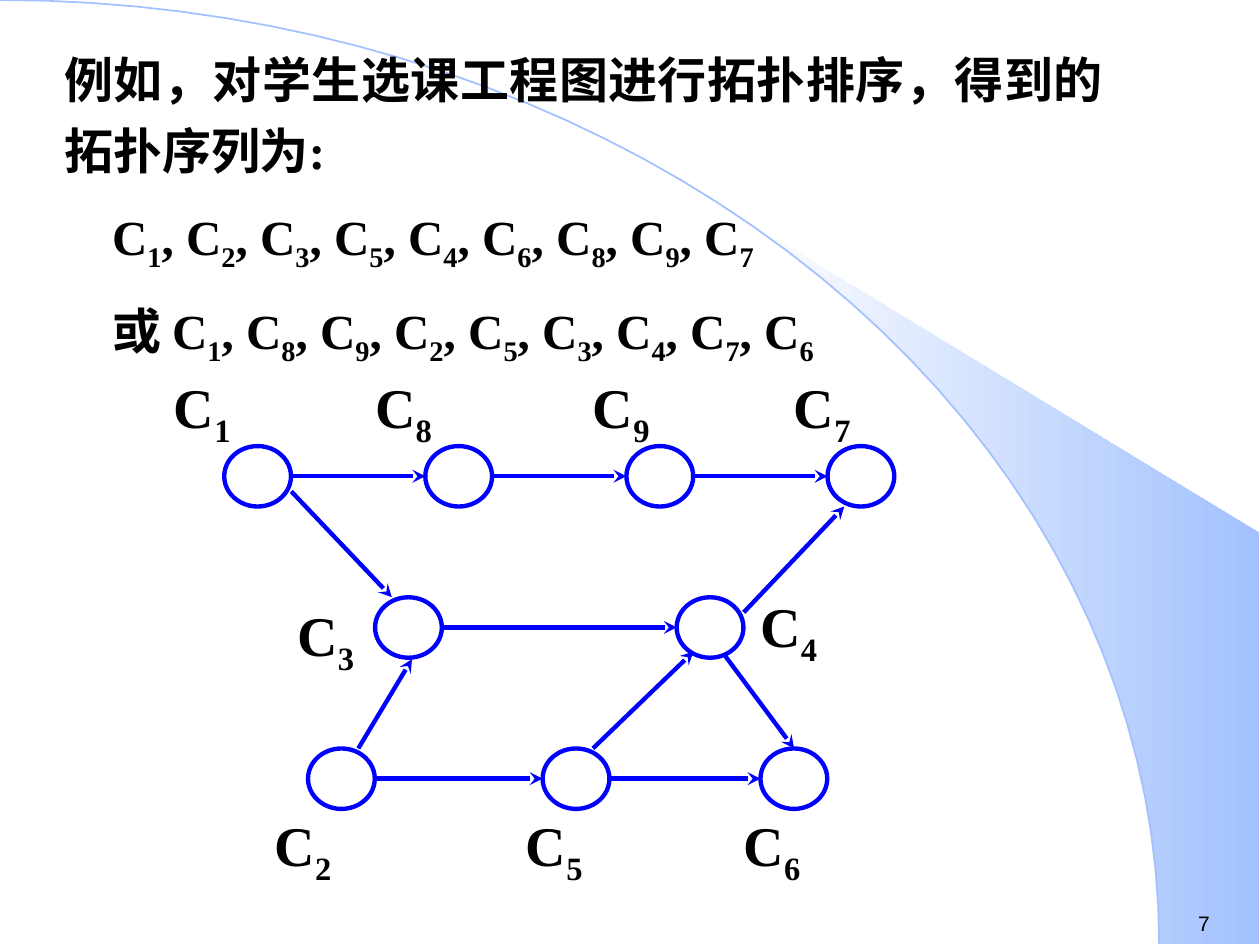
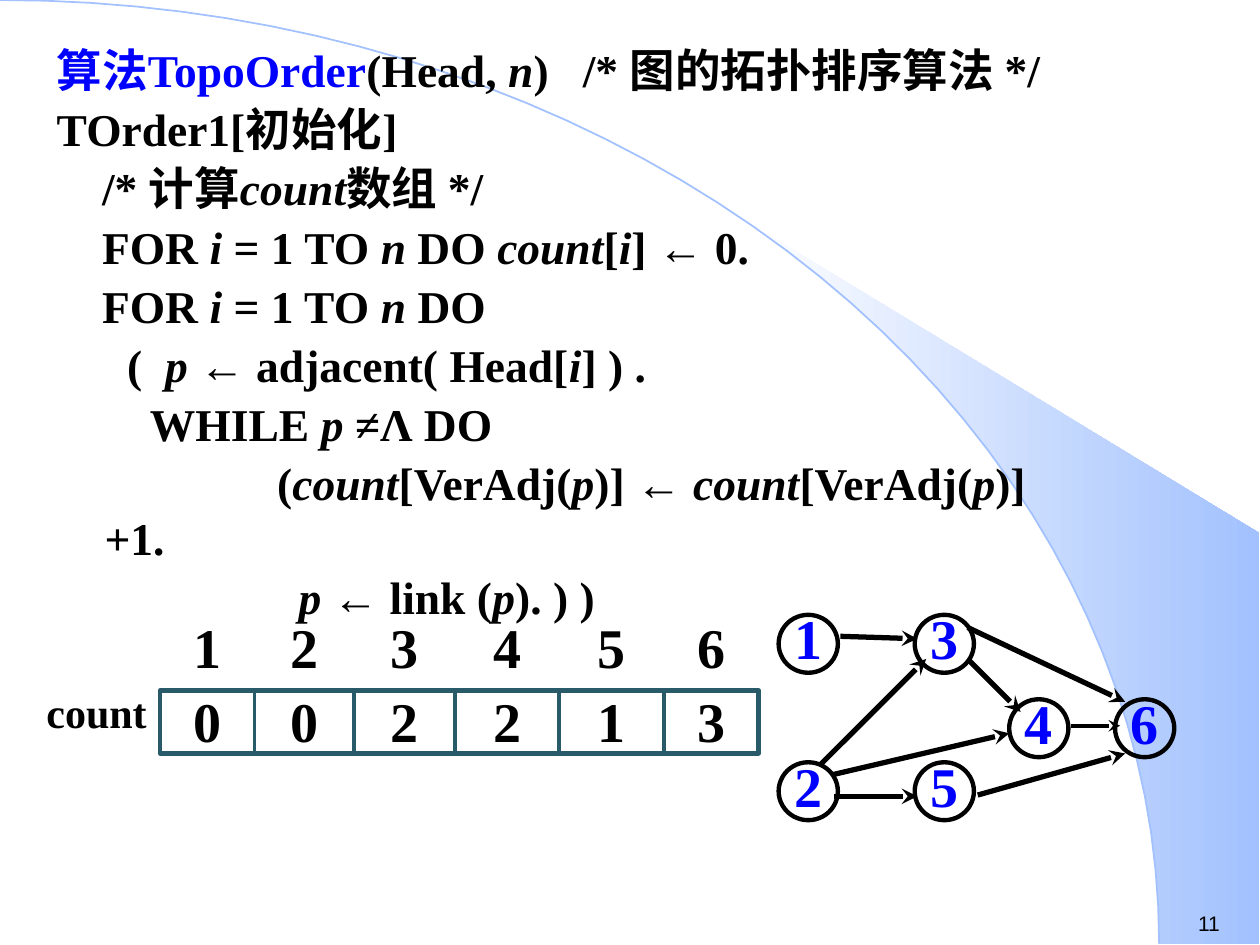
import math
from dataclasses import dataclass

from lxml import etree
from pptx import Presentation
from pptx.dml.color import RGBColor
from pptx.enum.shapes import MSO_CONNECTOR, MSO_SHAPE
from pptx.enum.text import MSO_ANCHOR, MSO_AUTO_SIZE, PP_ALIGN
from pptx.oxml.ns import qn
from pptx.util import Inches, Pt

STRAIGHT = MSO_CONNECTOR.STRAIGHT
OVAL, RECTANGLE = MSO_SHAPE.OVAL, MSO_SHAPE.RECTANGLE
LEFT, CENTER, JUSTIFY = PP_ALIGN.LEFT, PP_ALIGN.CENTER, PP_ALIGN.JUSTIFY

BLACK = RGBColor(0x00, 0x00, 0x00)
WHITE = RGBColor(0xFF, 0xFF, 0xFF)
BLUE = RGBColor(0x00, 0x00, 0xFF)
SKY = RGBColor(0xA2, 0xC1, 0xFE)
TEAL = RGBColor(0x29, 0x5A, 0x69)
SERIF, SANS = "Times New Roman", "Arial"

SLIDE_W, SLIDE_H = 10, 7.5
ARC_W, ARC_H = 9.2, 7.49
FAN_START = 39.8  # degrees along the arc
NO_INSETS = (0, 0, 0, 0)
BOX_INSETS = (0.1, 0.05, 0.1, 0.05)

COURSE_ORDERS = [("", "123546897"), ("或 ", "189253476")]
# course: node column and row, label column and row
COURSES = {
    1: (0, 0, -3, -4.83), 8: (12, 0, 9, -4.83),
    9: (24, 0, 22, -4.83), 7: (36, 0, 34, -4.83),
    3: (9, 10, 4.36, 10.25), 4: (27, 10, 32, 9.6),
    2: (5, 20, 3, 24.1), 5: (19, 20, 18, 24.1), 6: (32, 20, 31, 24.1),
}
COURSE_ROWS = [(1, 8, 9, 7), (3, 4), (2, 5, 6)]
COURSE_DIAGONALS = [
    (4, 3, 10, 10), (8, 20, 11.2, 14.1), (22, 20, 28, 13.6),
    (31, 11, 37, 4), (29.9, 13.9, 34, 20),
]

# text with italics between bars, left margin, first-line indent
ALGORITHM = [
    ("算法TopoOrder||(Head, |n|)   /* 图的拓扑排序算法 */", 0, 0),
    ("TOrder1[初始化]", 0, 0),
    ("/* 计算|count|数组 */", 0.36, 0),
    ("FOR| i| = 1 TO |n| DO |count|[|i|] ← 0.", 0.36, 0),
    ("FOR |i |= 1 TO |n| DO", 0.36, 0),
    ("(  |p |← adjacent( Head[|i|] ) .", 0.56, 0),
    ("WHILE |p |≠Λ DO", 0.74, 0),
    ("(|count|[VerAdj(|p|)] ← |count|[VerAdj(|p|)]+1.", 0.38, 1.37),
    ("|p |← link (|p|). ) )", 1.92, 0),
]
COUNTS = [0, 0, 2, 2, 1, 3]
CELL_EDGES = [1.27, 2.02, 2.81, 3.61, 4.44, 5.27, 6.02]
VERTICES = {1: (0, 0), 2: (0, 11.7), 3: (10.8, 0),
            4: (18.3, 6.7), 5: (10.8, 11.7), 6: (26.7, 6.7)}
GRAPH_ARROWS = [
    (4.9, 1.7, 11, 1.9, 3), (4.4, 14.4, 11, 14.4, 3),
    (4.2, 12.7, 18.3, 9.4, 3), (3.3, 11.9, 11.7, 3.5, 3),
    (15, 3.5, 19.2, 7.7, 3), (23.2, 8.8, 27.1, 8.8, 2.25),
    (15.8, 14.3, 27.5, 11, 3), (15, 1, 27.5, 6.9, 3),
]


@dataclass
class Grid:
    left: float
    top: float
    col: float
    row: float

    def at(self, col, row):
        return self.left + col * self.col, self.top + row * self.row


COURSE_GRID = Grid(1.78, 3.54, 0.133, 0.12)
GRAPH_GRID = Grid(6.18, 4.88, 0.1, 0.1)


def style_font(font, color=BLACK, **values):
    for name, value in values.items():
        setattr(font, name, value)
    font.color.rgb = color


def write(paragraph, text, size, marked="italic", font=SERIF, bold=True, color=BLACK):
    """Add runs; the pieces between bars are italic or subscript."""
    for i, piece in enumerate(text.split("|")):
        if not piece:
            continue
        run = paragraph.add_run()
        run.text = piece
        style_font(run.font, color, name=font, size=Pt(size), bold=bold)
        if i % 2 and marked == "italic":
            run.font.italic = True
        elif i % 2:
            run._r.get_or_add_rPr().set("baseline", "-25000")


def set_frame(frame, insets, wrap=True):
    left, top, right, bottom = map(Inches, insets)
    values = dict(margin_left=left, margin_top=top, margin_right=right,
                  margin_bottom=bottom, word_wrap=wrap,
                  auto_size=MSO_AUTO_SIZE.NONE)
    for name, value in values.items():
        setattr(frame, name, value)


def add_label(slide, box, text, size=32, align=LEFT, insets=BOX_INSETS, **style):
    frame = slide.shapes.add_textbox(*map(Inches, box)).text_frame
    set_frame(frame, insets)
    frame.paragraphs[0].alignment = align
    write(frame.paragraphs[0], text, size, **style)


def add_outline(slide, kind, box, color):
    shape = slide.shapes.add_shape(kind, *map(Inches, box))
    shape.shadow.inherit = False
    shape.fill.background()
    shape.line.color.rgb = color
    shape.line.width = Pt(2.5)
    return shape


def add_line(slide, start, end, color, width, arrow=True):
    line = slide.shapes.add_connector(STRAIGHT, *map(Inches, (*start, *end)))
    line.line.color.rgb = color
    line.line.width = Pt(width)
    if arrow:
        etree.SubElement(line.line._get_or_add_ln(), qn("a:tailEnd"), type="stealth")
    etree.SubElement(line.element.spPr, qn("a:effectLst"))


def arc_points(first, last, steps=40):
    angles = (math.radians(first + (last - first) * i / steps) for i in range(steps + 1))
    return [(ARC_W * math.sin(a), ARC_H * (1 - math.cos(a))) for a in angles]


def add_freeform(slide, points, close):
    start, *rest = [(Inches(x), Inches(y)) for x, y in points]
    builder = slide.shapes.build_freeform(*start)
    builder.add_line_segments(rest, close=close)
    shape = builder.convert_to_shape()
    shape.shadow.inherit = False
    return shape


def add_backdrop(slide):
    """Draw the fan and the arc, then hand them to the layout."""
    corner = [(9.99, ARC_H), (9.99, 4.23)]
    fan = add_freeform(slide, corner + arc_points(FAN_START, 90), True)
    fan.line.fill.background()
    fan.fill.gradient()
    fan.fill.gradient_angle = 0
    for stop, color in zip(fan.fill.gradient_stops, (WHITE, SKY)):
        stop.color.rgb = color
    arc = add_freeform(slide, arc_points(0, 90), False)
    arc.fill.background()
    arc.line.color.rgb = SKY
    arc.line.width = Pt(1)
    for place, shape in enumerate((fan, arc), start=2):
        slide.slide_layout.shapes.element.insert(place, shape.element)


def add_slide(prs, number):
    slide = prs.slides.add_slide(prs.slide_layouts[1])
    title = slide.shapes.title.element
    title.getparent().remove(title)
    add_label(slide, (9.41, 7.18, 0.59, 0.3), number, 12, font=SANS, bold=False)
    return slide


def fill_body(slide, box, lines, size, marked, gap, spacing=1.0, align=LEFT):
    body = slide.placeholders[1]
    body.left, body.top, body.width, body.height = map(Inches, box)
    frame = body.text_frame
    set_frame(frame, BOX_INSETS)
    for i, (text, margin, indent) in enumerate(lines):
        paragraph = frame.add_paragraph() if i else frame.paragraphs[0]
        properties = paragraph._p.get_or_add_pPr()
        properties.set("marL", str(Inches(margin)))
        properties.set("indent", str(Inches(indent)))
        etree.SubElement(properties, qn("a:buNone"))
        paragraph.alignment = align
        paragraph.line_spacing = spacing
        paragraph.space_before = Pt(gap if i else 0)
        write(paragraph, text, size, marked)
    return frame


def add_course_graph(slide):
    grid = COURSE_GRID
    for course, (col, row, label_col, label_row) in COURSES.items():
        add_outline(slide, OVAL, (*grid.at(col, row), 0.53, 0.48), BLUE)
        add_label(slide, (*grid.at(label_col, label_row), 1.06, 0.53),
                  f"C|{course}|", insets=NO_INSETS, marked="subscript")
    arrows = list(COURSE_DIAGONALS)
    for courses in COURSE_ROWS:
        for a, b in zip(courses, courses[1:]):
            (col, row), (next_col, _) = COURSES[a][:2], COURSES[b][:2]
            arrows.append((col + 4, row + 2, next_col, row + 2))
    for x1, y1, x2, y2 in arrows:
        add_line(slide, grid.at(x1, y1), grid.at(x2, y2), BLUE, 2.5)


def add_count_array(slide):
    left, right = CELL_EDGES[0], CELL_EDGES[-1]
    top, height = 5.48, 0.5
    add_outline(slide, RECTANGLE, (left, top, right - left, height), TEAL)
    for x in CELL_EDGES[1:-1]:
        add_line(slide, (x, top), (x, top + height), TEAL, 2.25, arrow=False)
    cells = zip(CELL_EDGES, CELL_EDGES[1:], COUNTS)
    for index, (start, end, count) in enumerate(cells, start=1):
        for y, value in ((4.81, index), (5.4, count)):
            add_label(slide, (start, y, end - start, 0.63), str(value), align=CENTER)
    add_label(slide, (0.27, 5.4, 1.25, 0.5), "count", 24)


def add_vertex_graph(slide):
    grid = GRAPH_GRID
    for vertex, place in VERTICES.items():
        circle = add_outline(slide, OVAL, (*grid.at(*place), 0.47, 0.46), BLACK)
        frame = circle.text_frame
        set_frame(frame, (0, 0, 0, 0.1), wrap=False)
        frame.vertical_anchor = MSO_ANCHOR.MIDDLE
        frame.paragraphs[0].alignment = CENTER
        write(frame.paragraphs[0], str(vertex), 32, color=BLUE)
    for x1, y1, x2, y2, width in GRAPH_ARROWS:
        add_line(slide, grid.at(x1, y1), grid.at(x2, y2), BLACK, width)


def main():
    prs = Presentation()
    prs.slide_width, prs.slide_height = Inches(SLIDE_W), Inches(SLIDE_H)

    courses = add_slide(prs, "7")
    add_backdrop(courses)
    lines = [("例如，对学生选课工程图进行拓扑排序，得到的拓扑序列为:", 0, 0)]
    for lead, order in COURSE_ORDERS:
        lines.append((lead + ", ".join(f"C|{course}|" for course in order), 0.38, 0))
    fill_body(courses, (0.41, 0.25, 8.45, 2.56), lines, 28, "subscript", 8, 1.2, JUSTIFY)
    add_course_graph(courses)

    algorithm = add_slide(prs, "11")
    frame = fill_body(algorithm, (0.35, 0.28, 8.35, 4.53), ALGORITHM, 26, "italic", 2.6)
    frame.paragraphs[0].runs[0].font.color.rgb = BLUE
    add_count_array(algorithm)
    add_vertex_graph(algorithm)

    prs.save("out.pptx")


if __name__ == "__main__":
    main()
